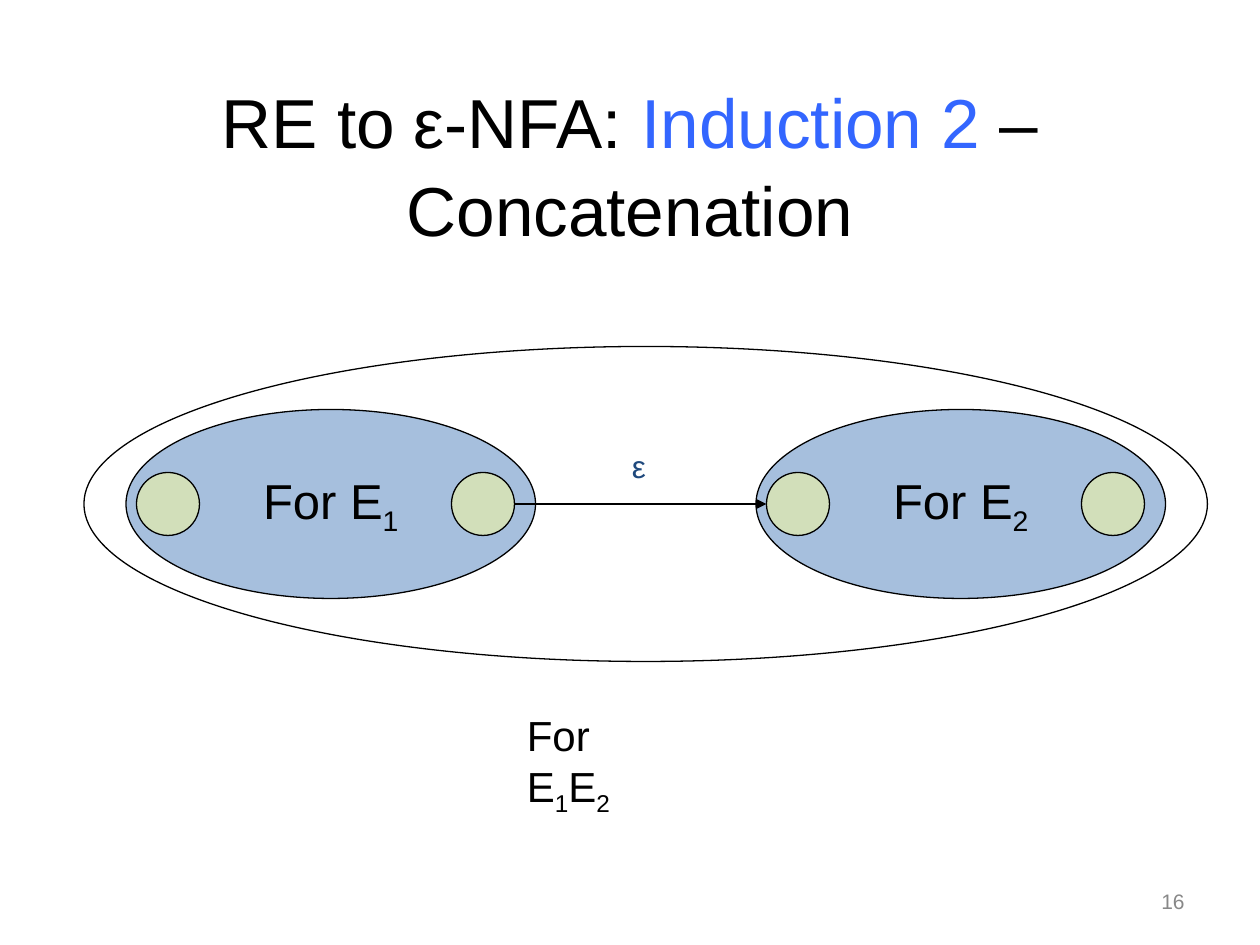
from lxml.etree import SubElement
from pptx import Presentation
from pptx.dml.color import RGBColor
from pptx.enum.shapes import MSO_CONNECTOR as Connector, MSO_SHAPE as Shape
from pptx.enum.text import MSO_ANCHOR as Anchor, PP_ALIGN as Align
from pptx.oxml.ns import qn
from pptx.util import Inches, Pt

COLOURS = {
    "ink": "000000",
    "accent": "3366FF",
    "label": "1F497D",
    "machine": "4F81BD",
    "state": "FFFF99",
    "number": "888888",
}


class SlideBuilder:
    """Draws on one slide; lengths are cells of a 120 by 90 grid."""

    font = "Arial"
    cell = Inches(10) / 120
    line_width = Pt(0.75)

    def __init__(self, deck):
        self.page = deck.slides.add_slide(deck.slide_layouts[6])

    def cells(self, *counts):
        return [round(count * self.cell) for count in counts]

    def colour(self, name):
        return RGBColor.from_string(COLOURS[name])

    def fill_text(self, box, runs, size, colour="ink", align=Align.LEFT, anchor=Anchor.TOP):
        """Each run is its text and a style: "", "sub" or a colour name."""
        frame = box.text_frame
        frame.word_wrap = True
        frame.vertical_anchor = anchor
        para = frame.paragraphs[0]
        para.alignment = align
        para.font.name = self.font
        para.font.size = Pt(size)
        para.font.color.rgb = self.colour(colour)
        for text, style in runs:
            span = para.add_run()
            span.text = text
            if style == "sub":
                span._r.get_or_add_rPr().set("baseline", "-25000")
            elif style:
                span.font.color.rgb = self.colour(style)
        return para

    def text(self, left, top, width, height, runs, size, **style):
        box = self.page.shapes.add_textbox(*self.cells(left, top, width, height))
        return self.fill_text(box, runs, size, **style)

    def ellipse(self, left, top, width, height, fill=None):
        oval = self.page.shapes.add_shape(
            Shape.OVAL, *self.cells(left, top, width, height))
        oval.shadow.inherit = False
        oval.line.color.rgb = self.colour("ink")
        oval.line.width = self.line_width
        if fill:
            oval.fill.solid()
            oval.fill.fore_color.rgb = self.colour(fill)
            tint = oval._element.spPr.find(qn("a:solidFill"))[0]
            SubElement(tint, qn("a:alpha"), val="50000")
        else:
            oval.fill.background()
        return oval

    def automaton(self, left, top, index):
        """A machine with its final and start states, 30 columns apart."""
        body = self.ellipse(left, top, 39, 18, "machine")
        self.fill_text(body, [("For E", ""), (index, "sub")], 28,
                       align=Align.CENTER, anchor=Anchor.MIDDLE)
        for offset in (31, 1):
            self.ellipse(left + offset, top + 6, 6, 6, "state")

    def arrow(self, *ends):
        arrow = self.page.shapes.add_connector(Connector.STRAIGHT, *self.cells(*ends))
        arrow.line.color.rgb = self.colour("ink")
        arrow.line.width = self.line_width
        outline = arrow._element.spPr.find(qn("a:ln"))
        SubElement(outline, qn("a:tailEnd"), type="triangle")
        SubElement(arrow._element.spPr, qn("a:effectLst"))


def main():
    deck = Presentation()
    deck.slide_width, deck.slide_height = Inches(10), Inches(7.5)
    slide = SlideBuilder(deck)

    # Page number and title
    slide.text(86, 83.4, 28, 4.8, [("16", "")], 12, colour="number",
               align=Align.RIGHT, anchor=Anchor.MIDDLE)
    title = [("RE to ε-NFA: ", ""), ("Induction 2", "accent"), (" – Concatenation", "")]
    heading = slide.text(0, 8, 120, 15, title, 39.6,
                         align=Align.CENTER, anchor=Anchor.MIDDLE)
    heading.line_spacing = 1.05

    # The two machines
    for left, index in ((12, "1"), (72, "2")):
        slide.automaton(left, 39, index)

    # The combined machine
    slide.ellipse(8, 33, 107, 30)
    slide.text(49, 67, 15.4, 6.1,
               [("For E", ""), ("1", "sub"), ("E", ""), ("2", "sub")], 24)

    # The ε-transition from the first machine to the second
    slide.arrow(49, 48, 73, 48)
    slide.text(59, 42, 4.6, 6, [("ε", "")], 18, colour="label")

    deck.save("out.pptx")


if __name__ == "__main__":
    main()
